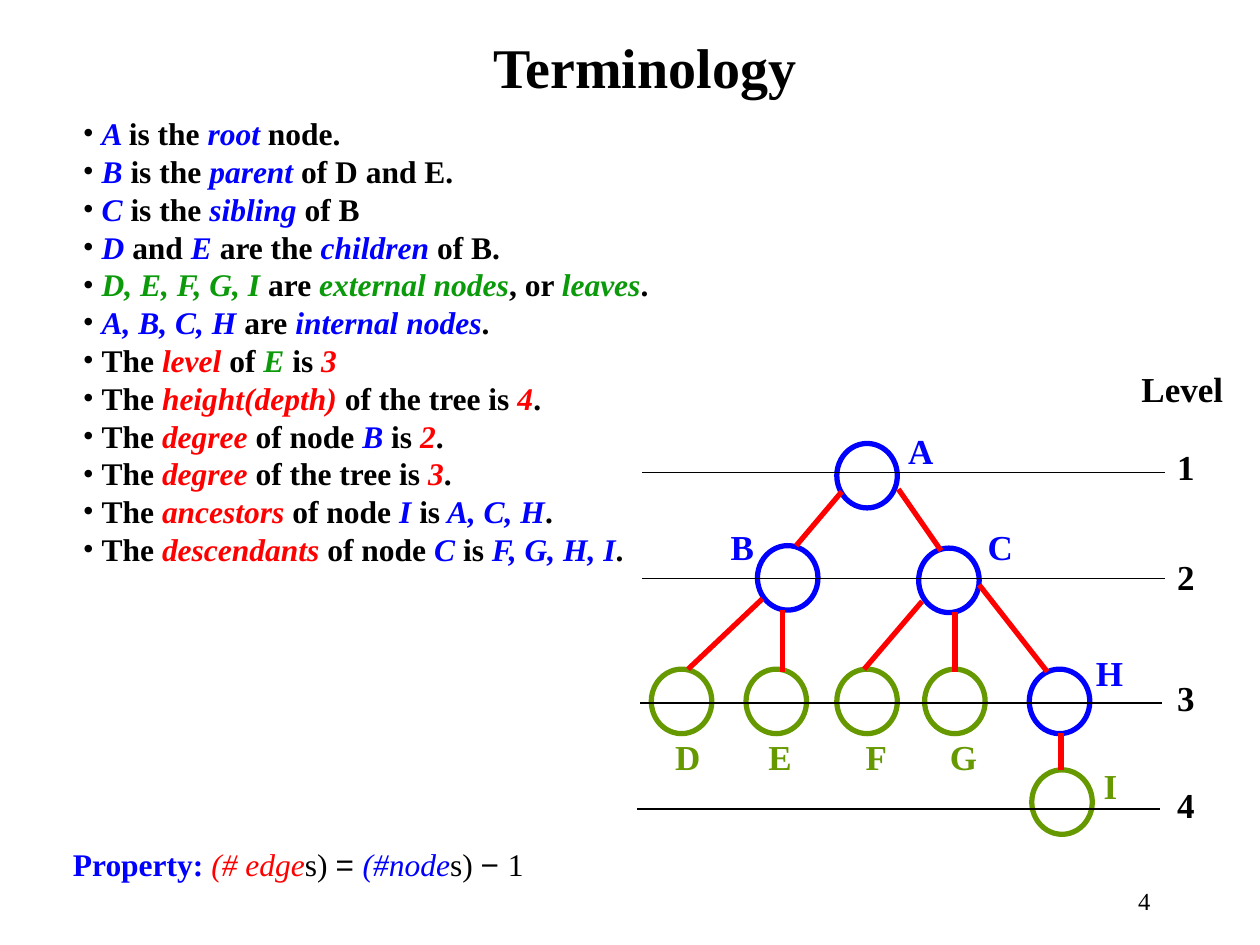
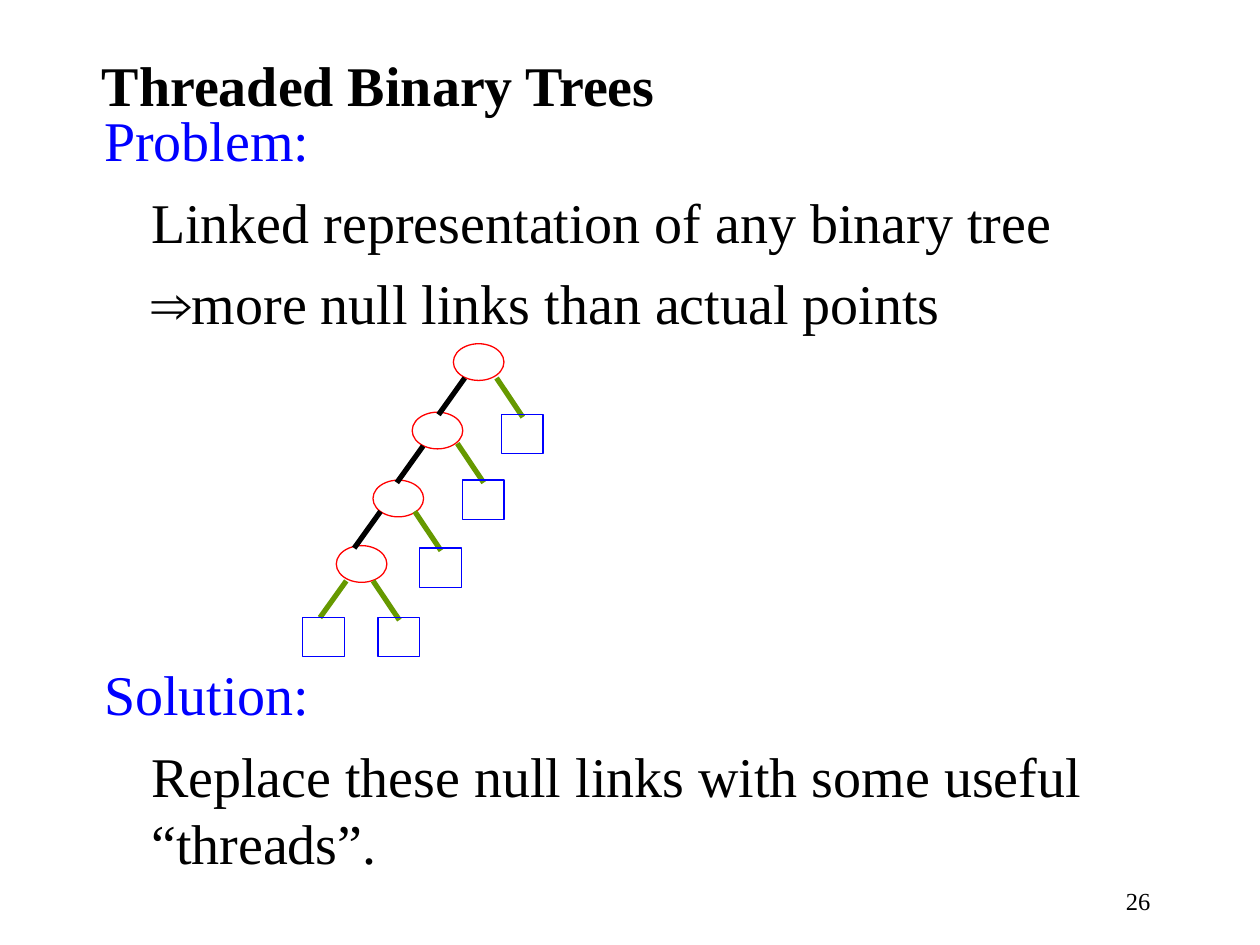
from lxml import etree
from pptx import Presentation
from pptx.dml.color import RGBColor
from pptx.enum.shapes import MSO_CONNECTOR, MSO_SHAPE
from pptx.enum.text import MSO_ANCHOR, PP_ALIGN
from pptx.oxml.ns import qn
from pptx.util import Cm, Pt

LINE = MSO_CONNECTOR.STRAIGHT
OVAL, SQUARE = MSO_SHAPE.OVAL, MSO_SHAPE.RECTANGLE
LEFT, CENTER, RIGHT = PP_ALIGN.LEFT, PP_ALIGN.CENTER, PP_ALIGN.RIGHT
TOP = MSO_ANCHOR.TOP

BLACK, BLUE, RED = "000000", "0000FF", "FF0000"
GREEN, OLIVE = "0A9A0A", "669900"
FONT, SYMBOL_FONT = "Times New Roman", "Arial"
SYMBOLS = ("=", "−", "⇒")
LINE_HEIGHT = 1.2
TITLE_WIDTH = 13

# A run is plain text, or (text, colour) in italics, or (text, colour, traits).
TERMS = [
    [("A ", BLUE), "is the ", ("root ", BLUE), "node."],
    [("B ", BLUE), "is the ", ("parent ", BLUE), "of D and E."],
    [("C ", BLUE), "is the ", ("sibling ", BLUE), "of B"],
    [("D ", BLUE), "and ", ("E ", BLUE), "are the ", ("children ", BLUE), "of B."],
    [("D, E, F, G, I", GREEN), " are ", ("external nodes", GREEN), ", or ",
     ("leaves", GREEN), "."],
    [("A, B, C, H ", BLUE), "are ", ("internal nodes", BLUE), "."],
    ["The ", ("level", RED), " of ", ("E ", GREEN), "is ", ("3", RED)],
    ["The ", ("height(depth) ", RED), "of the tree is ", ("4", RED), "."],
    ["The ", ("degree ", RED), "of node ", ("B ", BLUE), "is ", ("2", RED), "."],
    ["The ", ("degree ", RED), "of the tree is ", ("3", RED), "."],
    ["The ", ("ancestors ", RED), "of node ", ("I ", BLUE), "is",
     (" A, C, H", BLUE), "."],
    ["The ", ("descendants ", RED), "of node ", ("C ", BLUE), "is",
     (" F, G, H, I", BLUE), "."],
]
PROPERTY = [("Property: ", BLUE, "b"), ("(# edge", RED), "s) ", "= ",
            ("#node", BLUE), "s) ", "− ", "1"]
PROPERTY[4] = ("(#node", BLUE)

NODE_SIZE = (1.22, 1.3)
# name: node left and top, label left and top, colour
NODES = {
    "A": (16.87, 8.94, 18.06, 8.53, BLUE),
    "B": (15.27, 11, 14.48, 10.46, BLUE),
    "C": (18.52, 11.05, 19.66, 10.46, BLUE),
    "D": (13.13, 13.49, 13.36, 14.71, OLIVE),
    "E": (15.04, 13.49, 15.24, 14.71, OLIVE),
    "F": (16.87, 13.49, 17.2, 14.71, OLIVE),
    "G": (18.64, 13.49, 18.9, 14.71, OLIVE),
    "H": (20.75, 13.49, 21.84, 13, BLUE),
    "I": (20.8, 15.52, 22, 15.29, OLIVE),
}
EDGES = [
    (16.97, 9.91, 16.05, 11), (18.11, 9.86, 18.97, 11.1),
    (15.37, 12.07, 13.87, 13.49), (15.77, 12.29, 15.77, 13.54),
    (18.59, 12.12, 17.42, 13.49), (19.25, 12.34, 19.25, 13.54),
    (19.74, 11.79, 21.11, 13.54), (21.39, 14.78, 21.39, 15.52),
]
# line left and height, number top
LEVELS = [(12.95, 9.53, 8.86), (12.95, 11.66, 11.07),
          (12.9, 14.17, 13.51), (12.85, 16.31, 15.67)]
LEVEL_LENGTH = 10.53

PROBLEM = ["Linked representation of any binary tree"], \
          ["⇒", "more null links than actual points"]
SOLUTION = (["Replace these null links with some useful “threads”."],)
SECTIONS = [("Problem:", PROBLEM, 2.01), ("Solution:", SOLUTION, 13.18)]

LINKED_NODES = [(9.14, 6.93), (8.31, 8.31), (7.52, 9.68), (6.78, 11)]
LINKED_SIZE = (1.02, 0.74)
RIGHT_NULLS = [(10.11, 8.36), (9.32, 9.68), (8.46, 11.05), (7.62, 12.45)]
LAST_LEFT_NULL = (6.1, 12.45)
NULL_SIZE = (0.84, 0.79)
LEFT_LINK_ENDS = [(8.84, 8.36), (8, 9.73), (7.14, 11.05), (6.45, 12.45)]


def rgb(color):
    return RGBColor.from_string(color)


def add_bullet(paragraph, gap=0.38):
    properties = paragraph._p.get_or_add_pPr()
    properties.set("marL", str(Cm(gap)))
    properties.set("indent", str(-Cm(gap)))
    color = etree.SubElement(properties, qn("a:buClr"))
    etree.SubElement(color, qn("a:srgbClr"), val=BLACK)
    etree.SubElement(properties, qn("a:buFont"), typeface=FONT)
    etree.SubElement(properties, qn("a:buChar"), char="•")


def add_runs(paragraph, runs, size, color=BLACK, bold=False, align=LEFT):
    paragraph.alignment = align
    paragraph.line_spacing = Pt(size * LINE_HEIGHT)
    for part in runs:
        text, run_color, traits = part, color, ""
        if not isinstance(part, str):
            text, run_color, traits = (*part, "i")[:3]
        run = paragraph.add_run()
        run.text = text
        font = run.font
        font.name = SYMBOL_FONT if text.strip() in SYMBOLS else FONT
        font.size = Pt(size)
        font.bold = bold or "b" in traits
        font.italic = "i" in traits
        font.color.rgb = rgb(run_color)


def add_box(slide, left, top, width, height):
    frame = slide.shapes.add_textbox(Cm(left), Cm(top), Cm(width), Cm(height)).text_frame
    frame.word_wrap = True
    return frame


def add_label(slide, text, left, top, color=BLACK, width=1.05):
    frame = add_box(slide, left, top, width, 1.12)
    add_runs(frame.paragraphs[0], [text], 20, color, bold=True)


def add_outline(slide, kind, corner, size, color, weight):
    shape = slide.shapes.add_shape(kind, *map(Cm, (*corner, *size)))
    shape.shadow.inherit = False
    shape.fill.background()
    shape.line.color.rgb = rgb(color)
    shape.line.width = Pt(weight)


def add_line(slide, ends, color, weight):
    line = slide.shapes.add_connector(LINE, *map(Cm, ends))
    line.line.color.rgb = rgb(color)
    line.line.width = Pt(weight)
    etree.SubElement(line._element.spPr, qn("a:effectLst"))


def add_titled_slide(deck, title, center, top, number):
    slide = deck.slides.add_slide(deck.slide_layouts[5])
    heading = slide.shapes.title
    heading.left, heading.top = Cm(center - TITLE_WIDTH / 2), Cm(top)
    heading.width, heading.height = Cm(TITLE_WIDTH), Cm(1.63)
    heading.text_frame.vertical_anchor = TOP
    add_runs(heading.text_frame.paragraphs[0], [title], 32, bold=True, align=CENTER)
    footer = add_box(slide, 18.16, 17.73, 5.28, 1.27)
    add_runs(footer.paragraphs[0], [number], 14, align=RIGHT)
    return slide


def build_terminology(deck):
    slide = add_titled_slide(deck, "Terminology", 13, 0.53, "4")
    terms = add_box(slide, 1.42, 2.18, 13, 9.4)
    for index, runs in enumerate(TERMS):
        paragraph = terms.add_paragraph() if index else terms.paragraphs[0]
        add_bullet(paragraph)
        add_runs(paragraph, runs, 18, bold=True)
    rule = add_box(slide, 1.22, 16.92, 11, 1.02)
    add_runs(rule.paragraphs[0], PROPERTY, 18)

    for name, (left, top, label_left, label_top, color) in NODES.items():
        add_outline(slide, OVAL, (left, top), NODE_SIZE, color, 3)
        add_label(slide, name, label_left, label_top, color)
    for edge in EDGES:
        add_line(slide, edge, RED, 3)
    add_label(slide, "Level", 22.76, 7.29, width=2.4)
    for level, (left, y, number_top) in enumerate(LEVELS, 1):
        add_line(slide, (left, y, left + LEVEL_LENGTH, y), BLACK, 0.75)
        add_label(slide, str(level), 23.48, number_top)


def build_threaded_trees(deck):
    slide = add_titled_slide(deck, "Threaded Binary Trees", 7.63, 0.89, "26")
    for heading, statements, top in SECTIONS:
        frame = add_box(slide, 1.85, top, 22.23, 4.8)
        add_runs(frame.paragraphs[0], [heading], 32, BLUE)
        for runs in statements:
            paragraph = frame.add_paragraph()
            paragraph._p.get_or_add_pPr().set("marL", str(Cm(0.95)))
            paragraph.space_before = Pt(8)
            add_runs(paragraph, runs, 32)

    for corner in LINKED_NODES:
        add_outline(slide, OVAL, corner, LINKED_SIZE, RED, 0.75)
    for x, y in LEFT_LINK_ENDS:
        color = OLIVE if (x, y) == LEFT_LINK_ENDS[-1] else BLACK
        add_line(slide, (x + 0.53, y - 0.74, x, y), color, 3)
    for left, top in RIGHT_NULLS:
        x, y = left + 0.43, top + 0.05
        add_line(slide, (x - 0.53, y - 0.79, x, y), OLIVE, 3)
    for corner in [*RIGHT_NULLS, LAST_LEFT_NULL]:
        add_outline(slide, SQUARE, corner, NULL_SIZE, BLUE, 0.75)


def main():
    deck = Presentation()
    deck.slide_width, deck.slide_height = Cm(25.4), Cm(19.05)
    build_terminology(deck)
    build_threaded_trees(deck)
    deck.save("out.pptx")


if __name__ == "__main__":
    main()
